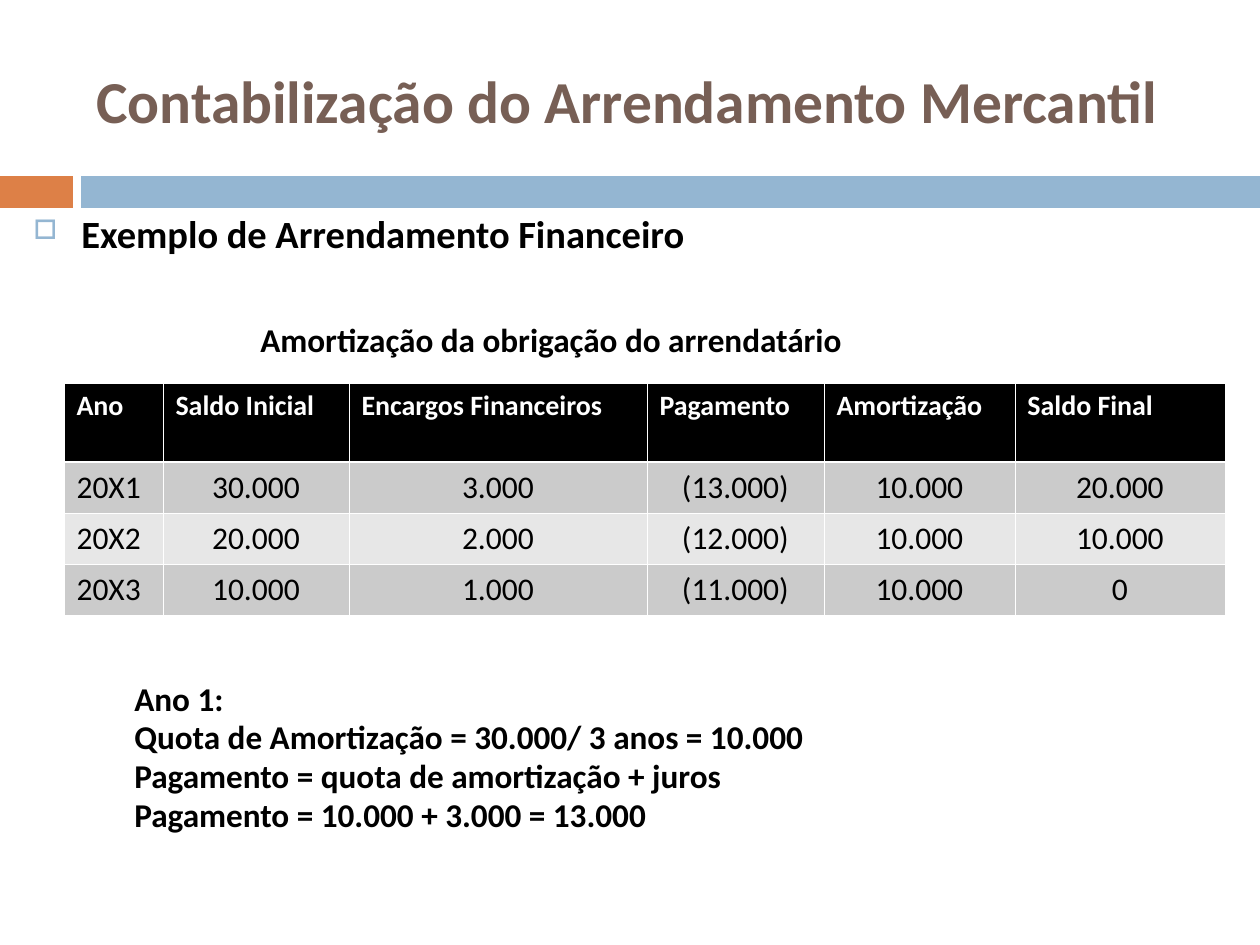
from lxml import etree
from pptx import Presentation
from pptx.dml.color import RGBColor
from pptx.enum.shapes import MSO_SHAPE
from pptx.enum.text import MSO_ANCHOR, PP_ALIGN
from pptx.oxml.ns import qn
from pptx.util import Emu, Pt

RECT = MSO_SHAPE.RECTANGLE
MIDDLE, TOP = MSO_ANCHOR.MIDDLE, MSO_ANCHOR.TOP
LEFT, CENTER, JUSTIFY = PP_ALIGN.LEFT, PP_ALIGN.CENTER, PP_ALIGN.JUSTIFY

WHITE = RGBColor(0xFF, 0xFF, 0xFF)
BLACK = RGBColor(0x00, 0x00, 0x00)
BROWN = RGBColor(0x77, 0x5F, 0x55)
ORANGE = RGBColor(0xDD, 0x80, 0x47)
BLUE = RGBColor(0x94, 0xB6, 0xD2)
GREY = RGBColor(0xCB, 0xCB, 0xCB)
LIGHT = RGBColor(0xE7, 0xE7, 0xE7)

TITLE = "Contabilização do Arrendamento Mercantil"
TOPIC = "Exemplo de Arrendamento Financeiro"
CAPTION = "Amortização da obrigação do arrendatário"
NOTES = [
    "Ano 1:",
    "Quota de Amortização = 30.000/ 3 anos = 10.000",
    "Pagamento = quota de amortização + juros",
    "Pagamento = 10.000 + 3.000 = 13.000",
]
ROWS = [
    ["Ano", "Saldo Inicial", "Encargos Financeiros", "Pagamento", "Amortização", "Saldo Final"],
    ["20X1", "30.000", "3.000", "(13.000)", "10.000", "20.000"],
    ["20X2", "20.000", "2.000", "(12.000)", "10.000", "10.000"],
    ["20X3", "10.000", "1.000", "(11.000)", "10.000", "0"],
]
COL_WIDTHS = [99, 186, 298, 177, 191, 210]
ROW_HEIGHTS = [79, 51, 51, 51]


def px(n):
    """Turn pixels into EMU."""
    return Emu(round(n * 914400 / 126))


def write(p, text, size, color, bold=True, **layout):
    """Write one formatted run into a paragraph."""
    for name, value in layout.items():
        setattr(p, name, value)
    r = p.add_run()
    r.text = text
    r.font.color.rgb = color
    for name, value in {"name": "Calibri", "size": Pt(size), "bold": bold}.items():
        setattr(r.font, name, value)


def indent(p, left, first=0):
    """Set the left and first-line indents of a paragraph."""
    pPr = p._p.get_or_add_pPr()
    pPr.set("marL", str(px(left)))
    pPr.set("indent", str(px(first)))


def add_bullet(p):
    """Give a paragraph a small blue square bullet."""
    pPr = p._p.get_or_add_pPr()
    color = etree.SubElement(pPr, qn("a:buClr"))
    etree.SubElement(color, qn("a:srgbClr"), val=str(BLUE))
    etree.SubElement(pPr, qn("a:buSzPct"), val="70000")
    etree.SubElement(pPr, qn("a:buChar"), char="□")


def add_text_frame(s, x, y, w, h, anchor):
    """Add a wrapping text box and return its text frame."""
    tf = s.shapes.add_textbox(px(x), px(y), px(w), px(h)).text_frame
    tf.word_wrap = True
    tf.vertical_anchor = anchor
    return tf


def add_band(s, x, y, w, h):
    """Add the two-colour band below the title."""
    split, gap = 73, 8
    rest = split + gap
    for left, width, color in [(0, split, ORANGE), (rest, w - rest, BLUE)]:
        sp = s.shapes.add_shape(RECT, px(x + left), px(y), px(width), px(h))
        sp.shadow.inherit = False
        sp.fill.solid()
        sp.fill.fore_color.rgb = color
        sp.line.fill.background()


def add_title(s, x, y, w, h):
    """Add the slide title."""
    tf = add_text_frame(s, x, y, w, h, MIDDLE)
    write(tf.paragraphs[0], TITLE, 34, BROWN, alignment=JUSTIFY)


def add_body(s, x, y, w, h):
    """Add the topic, the table caption and the worked example."""
    tf = add_text_frame(s, x, y, w, h, TOP)
    p = tf.paragraphs[0]
    indent(p, 54, -48)
    add_bullet(p)
    write(p, TOPIC, 22, BLACK, alignment=JUSTIFY)
    lines = [(CAPTION, 233, 37), (NOTES[0], 107, 183)]
    lines += [(note, 107, 0) for note in NOTES[1:]]
    for text, left, before in lines:
        p = tf.add_paragraph()
        indent(p, left)
        write(p, text, 19, BLACK, alignment=JUSTIFY,
              line_spacing=0.97, space_before=Pt(before))


def add_borders(cell, **widths):
    """Draw white borders of the given point widths around a cell."""
    tcPr = cell._tc.get_or_add_tcPr()
    for side in ("L", "R", "T", "B"):
        ln = etree.SubElement(tcPr, qn(f"a:ln{side}"), w=str(Pt(widths.get(side, 0.45))))
        fill = etree.SubElement(ln, qn("a:solidFill"))
        etree.SubElement(fill, qn("a:srgbClr"), val=str(WHITE))


def add_schedule(s, x, y, w, h):
    """Add the amortization table."""
    table = s.shapes.add_table(len(ROWS), len(COL_WIDTHS), px(x), px(y), px(w), px(h)).table
    for column, width in zip(table.columns, COL_WIDTHS):
        column.width = px(width)
    for i, (row, height) in enumerate(zip(ROWS, ROW_HEIGHTS)):
        table.rows[i].height = px(height)
        header = i == 0
        color = BLACK if header else GREY if i % 2 else LIGHT
        borders = {0: {"B": 1.47}, 1: {"T": 1.47}}.get(i, {})
        for j, text in enumerate(row):
            cell = table.cell(i, j)
            add_borders(cell, **borders)
            cell.fill.solid()
            cell.fill.fore_color.rgb = color
            write(cell.text_frame.paragraphs[0], text, 16 if header else 18,
                  WHITE if header else BLACK, bold=header,
                  alignment=LEFT if header or j == 0 else CENTER)


def main():
    """Build the slide and save it."""
    prs = Presentation()
    prs.slide_width, prs.slide_height = px(1260), px(945)
    s = prs.slides.add_slide(prs.slide_layouts[6])
    add_band(s, 0, 176, 1260, 32)
    add_title(s, 84, 32, 1124, 136)
    add_body(s, 15, 204, 1221, 714)
    add_schedule(s, 64, 383, sum(COL_WIDTHS), sum(ROW_HEIGHTS))
    prs.save("out.pptx")


if __name__ == "__main__":
    main()
